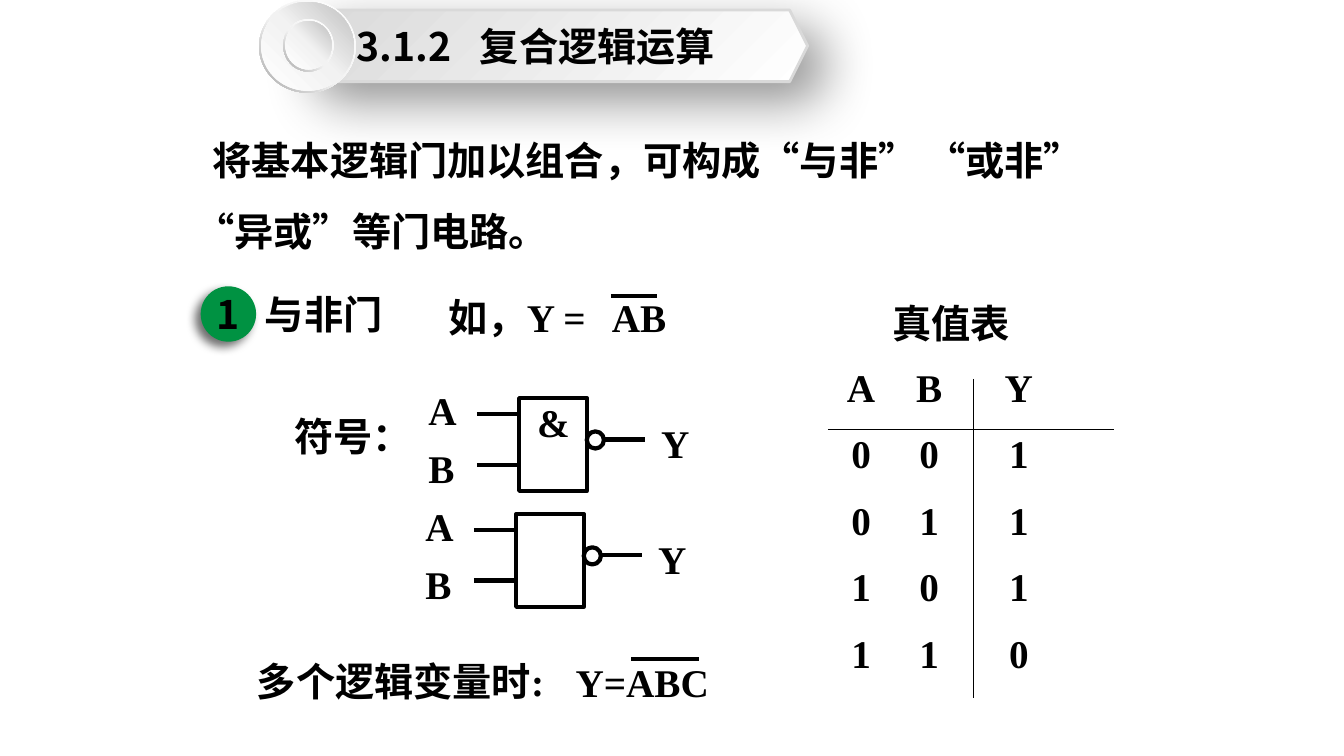
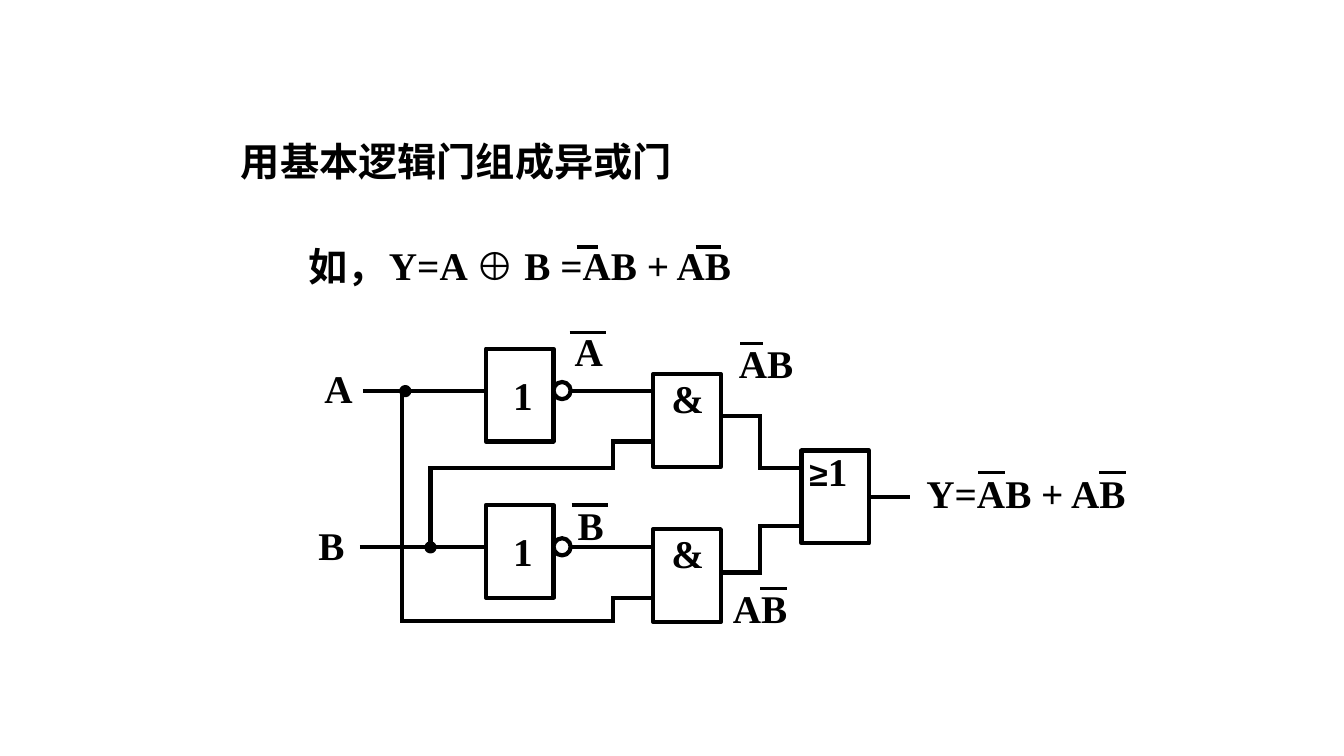
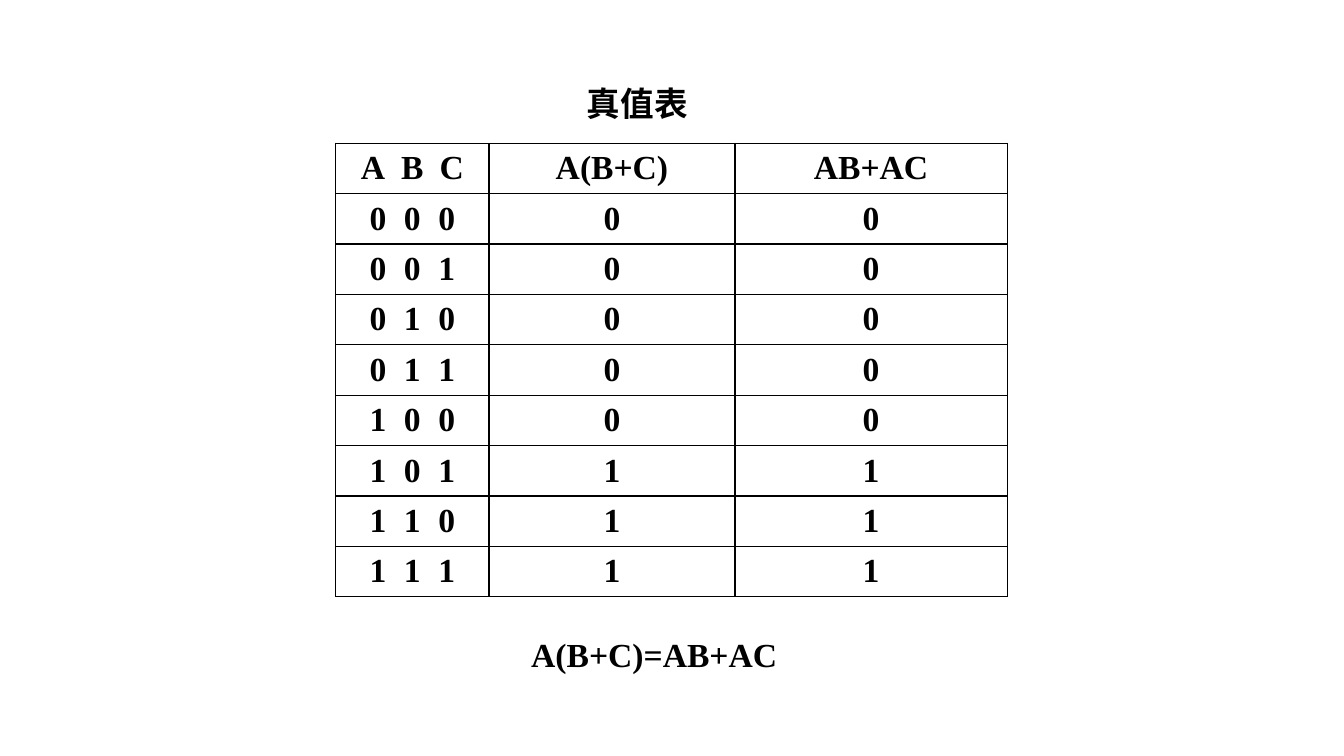
from dataclasses import dataclass
from itertools import pairwise, product

from lxml.etree import SubElement as Sub
from pptx import Presentation
from pptx.dml.color import RGBColor as RGB
from pptx.enum.shapes import MSO_CONNECTOR as Link, MSO_SHAPE as Kind
from pptx.enum.text import MSO_ANCHOR as Anchor, MSO_AUTO_SIZE as Fit, PP_ALIGN as Align
from pptx.oxml.ns import qn
from pptx.util import Inches, Pt


@dataclass(frozen=True)
class Theme:
    """Colours, fonts and sizes shared by the slides."""
    ink: str = "000000"
    paper: str = "FFFFFF"
    green: str = "009242"
    edge: str = "D9D9D9"
    ring: tuple = ((0, "FFFFFF"), (55, "F2F2F2"), (100, "A6A6A6"))
    disc: tuple = ((0, "FFFFFF"), (51, "F2F2F2"), (100, "BFBFBF"))
    band: tuple = ((0, "FFFFFF"), (100, "D9D9D9"))
    serif: str = "Times New Roman"
    hans: str = "Noto Sans CJK SC"
    big: int = 28
    mid: int = 24
    wire: float = 3
    bar: float = 2.25
    hair: float = 0.75
    wide: float = 0.67
    tall: float = 0.92
    dot: float = 0.17
    row: float = 0.57


T = Theme()


def style(run, size=T.big, face=T.serif):
    """Format one run in bold ink."""
    font = run.font
    font.size, font.bold, font.name = Pt(size), True, face
    font.color.rgb = RGB.from_string(T.ink)
    Sub(run._r.get_or_add_rPr(), qn("a:ea"), typeface=T.hans)


def tabs(para, stops, kind="l"):
    """Add tab stops to a paragraph."""
    stop_list = Sub(para._p.get_or_add_pPr(), qn("a:tabLst"))
    for stop in stops:
        Sub(stop_list, qn("a:tab"), pos=str(Inches(stop)), algn=kind)


def write(frame, text, size=T.big, face=T.serif, align=Align.LEFT, stops=()):
    """Write one formatted paragraph into a text frame."""
    frame.text = text
    para = frame.paragraphs[0]
    if stops:
        tabs(para, stops)
    para.alignment = align
    for run in para.runs:
        style(run, size, face)
    return para


def label(slide, text, x, y, w=T.wide, h=T.row, **look):
    """Place a text box."""
    box = slide.shapes.add_textbox(*map(Inches, (x, y, w, h)))
    box.text_frame.word_wrap = True
    return write(box.text_frame, text, **look)


def title(slide, text, x, y, w, h, anchor=Anchor.TOP, **look):
    """Move and format the title placeholder, above all shapes so far."""
    head = slide.shapes.title
    head.left, head.top, head.width, head.height = map(Inches, (x, y, w, h))
    frame = head.text_frame
    frame.auto_size, frame.word_wrap = Fit.NONE, True
    frame.vertical_anchor = anchor
    write(frame, text, **look)
    slide.shapes.element.append(head.element)


def shape(slide, kind, x, y, w, h, fill=T.paper, line=None, width=T.wire):
    """Draw a flat preset shape."""
    item = slide.shapes.add_shape(kind, *map(Inches, (x, y, w, h)))
    item.shadow.inherit = False
    item.fill.solid()
    item.fill.fore_color.rgb = RGB.from_string(fill)
    if line:
        item.line.color.rgb = RGB.from_string(line)
        item.line.width = Pt(width)
    else:
        item.line.fill.background()
    return item


def shade(item, stops, angle):
    """Give a shape a linear gradient."""
    item.fill.gradient()
    grad = item._element.spPr.find(qn("a:gradFill"))
    grad.clear()
    steps = Sub(grad, qn("a:gsLst"))
    for share, tone in stops:
        step = Sub(steps, qn("a:gs"), pos=str(share * 1000))
        Sub(step, qn("a:srgbClr"), val=tone)
    Sub(grad, qn("a:lin"), ang=str(angle * 60000), scaled="0")


def shadow(item, alpha, blur, dist, angle):
    """Give a shape an outer shadow."""
    effects = item._element.spPr.find(qn("a:effectLst"))
    outer = Sub(effects, qn("a:outerShdw"), blurRad=str(Pt(blur)), dist=str(Pt(dist)),
                dir=str(angle * 60000), algn="ctr", rotWithShape="0")
    tone = Sub(outer, qn("a:srgbClr"), val=T.ink)
    Sub(tone, qn("a:alpha"), val=str(alpha * 1000))


def wire(slide, *points, width=T.wire):
    """Join points with straight connectors."""
    for start, end in pairwise(points):
        link = slide.shapes.add_connector(Link.STRAIGHT, *map(Inches, start + end))
        link.line.color.rgb = RGB.from_string(T.ink)
        link.line.width = Pt(width)
        if len(points) > 2:
            link.line._get_or_add_ln().set("cap", "sq")
        Sub(link._element.spPr, qn("a:effectLst"))
    return link


def bars(slide, y, *spans, width=T.bar):
    """Draw negation bars at one height."""
    for left, right in spans:
        wire(slide, (left, y), (right, y), width=width)


def gate(slide, x, y, mark="", dx=0.08, dy=-0.05, bubble=False, size=T.big, face=T.serif):
    """Draw a gate body with its mark and negation bubble."""
    body = shape(slide, Kind.RECTANGLE, x, y, T.wide, T.tall, line=T.ink)
    if bubble:
        shape(slide, Kind.OVAL, x + T.wide, y + 0.33, T.dot, T.dot, line=T.ink)
    para = label(slide, mark, x + dx, y + dy, size=size, face=face) if mark else None
    return body, para


def symbol(slide, x, y, mark=""):
    """Draw a two-input gate symbol with its terminals."""
    for drop in (0.16, 0.66):
        wire(slide, (x - 0.42, y + drop), (x, y + drop))
    wire(slide, (x + 0.84, y + 0.41), (x + 1.25, y + 0.41))
    gate(slide, x, y, mark, bubble=True)
    for name, dx, dy in (("A", -1, -0.17), ("B", -1, 0.41), ("Y", 1.31, 0.16)):
        label(slide, name, x + dx, y + dy)


def grid(slide, rows, x, y, widths, high, size, pads, foot=0, edge=0):
    """Build a plain centred table, with ruled cells if edge is given."""
    spot = map(Inches, (x, y, sum(widths), high * len(rows)))
    table = slide.shapes.add_table(len(rows), len(widths), *spot).table
    table.first_row = table.horz_banding = False
    for col, width in zip(table.columns, widths):
        col.width = Inches(width)
    for r, row in enumerate(rows):
        table.rows[r].height = Inches(high)
        for c, value in enumerate(row):
            cell = table.cell(r, c)
            cell.margin_left = cell.margin_top = 0
            cell.margin_right, cell.margin_bottom = Inches(pads[c]), Inches(foot)
            cell.vertical_anchor = Anchor.MIDDLE
            write(cell.text_frame, str(value), size, align=Align.CENTER)
            if edge:
                rule(cell, edge)
            cell.fill.solid()
            cell.fill.fore_color.rgb = RGB.from_string(T.paper)
    return table


def rule(cell, width):
    """Draw the four borders of a cell."""
    for side in ("lnL", "lnR", "lnT", "lnB"):
        line = Sub(cell._tc.get_or_add_tcPr(), qn("a:" + side), w=str(Pt(width)))
        Sub(Sub(line, qn("a:solidFill")), qn("a:srgbClr"), val=T.ink)


def banner(slide):
    """Draw the title band with its round knob."""
    band = shape(slide, Kind.HEXAGON, 2.9, 0.1, 5.11, 0.71, line=T.edge, width=2)
    shade(band, T.band, 225)
    shadow(band, 42, 38, 19, 45)
    for x, y, w, h in ((2.57, 0, 0.96, 0.92), (2.81, 0.19, 0.5, 0.52)):
        ring = shape(slide, Kind.DONUT, x, y, w, h)
        ring.adjustments[0] = 0.05
        shade(ring, T.ring, 135)
        disc = shape(slide, Kind.OVAL, x + 0.02, y + 0.02, w - 0.04, h - 0.04)
        shade(disc, T.disc, 315)


def badge(slide, text, x, y, size):
    """Draw a numbered green disc."""
    disc = shape(slide, Kind.OVAL, x, y, size, size, T.green)
    shadow(disc, 57, 7, 5, 135)
    frame = disc.text_frame
    frame.margin_left = frame.margin_right = frame.margin_top = frame.margin_bottom = 0
    frame.vertical_anchor = Anchor.MIDDLE
    write(frame, text, face=T.hans, align=Align.CENTER)


def nand(slide):
    """Build the compound logic slide."""
    banner(slide)
    title(slide, "3.1.2\t复合逻辑运算", 3.44, 0.1, 4.4, 0.71, Anchor.MIDDLE,
          face=T.hans, stops=(1.22,))
    intro = label(slide, "将基本逻辑门加以组合，可构成“与非” “或非” “异或”等门电路。",
                  1.84, 1.07, 9.4, 1.4, face=T.hans)
    intro._p.get_or_add_pPr().set("indent", str(Inches(0.17)))
    intro.line_spacing = 1.5
    badge(slide, "1", 1.99, 2.84, 0.55)
    label(slide, "与非门", 2.53, 2.83, 1.53)
    label(slide, "如，Y =\tAB", 4.35, 2.86, 2.6, stops=(1.62,))
    bars(slide, 2.94, (6.06, 6.52), width=T.wire)
    label(slide, "符号：", 2.82, 4.04, 1.5)
    symbol(slide, 5.15, 3.95, "&")
    symbol(slide, 5.12, 5.1)
    label(slide, "多个逻辑变量时:", 2.45, 6.47, 3.3)
    label(slide, "Y=ABC", 5.61, 6.48, 1.72)
    bars(slide, 6.54, (6.26, 6.93), width=T.wire)
    label(slide, "真值表", 8.75, 2.92, 1.6)
    rows = [("A", "B", "Y")] + [(a, b, 1 - a * b) for a, b in product((0, 1), repeat=2)]
    grid(slide, rows, 8.21, 3.6, (0.66, 0.79, 1.39), 0.66, T.big, (0, 0.1, 0.5), 0.14)
    wire(slide, (8.21, 4.26), (11.05, 4.26), width=T.hair)
    wire(slide, (9.66, 3.76), (9.66, 6.92), width=T.hair)


def xor(slide):
    """Build the exclusive-or circuit slide."""
    title(slide, "用基本逻辑门组成异或门", 2.29, 1.31, 4.7, T.row)
    label(slide, "如，", 2.96, 2.35, 1)
    label(slide, "Y=A ⊕ B =AB + AB", 3.76, 2.34, 4.06)
    bars(slide, 2.45, (5.72, 5.93), (6.9, 7.15))
    top, low = 3.88, 5.43
    for name, row, x, left in (("A", top, 3.12, 3.6), ("B", low, 3.06, 3.57)):
        label(slide, name, x, row - 0.31)
        wire(slide, (left, row), (4.82, row))
        wire(slide, (5.65, row), (6.48, row))
        gate(slide, 4.82, row - 0.42, "1", 0.17, 0.17, True)
    for x, row, turn, end in ((4.27, low, 4.64, 4.38), (3.99, top, 6.16, 5.93)):
        wire(slide, (x, row), (x, turn), (6.08, turn), (6.08, end), (6.48, end))
    for row, end in ((4.13, 4.64), (5.68, 5.22)):
        wire(slide, (7.15, row), (7.54, row), (7.54, end), (7.95, end))
    for x, row in ((4.27, low), (4.02, top)):
        shape(slide, Kind.OVAL, x - 0.04, row - 0.04, 0.08, 0.08, T.ink, T.ink)
    for y in (3.71, 5.25):
        gate(slide, 6.48, y, "&")
    body, mark = gate(slide, 7.95, 4.47, "≥", -0.02, -0.08, size=T.mid, face="Arial")
    one = mark.add_run()
    one.text = "1"
    style(one)
    wire(slide, (8.62, 4.93), (9.03, 4.93)).begin_connect(body, 3)
    for text, x, y, w, rise, spans in (
        ("A", 5.6, 3.2, 0.59, 0.1, [(5.65, 6.01)]),
        ("B", 5.63, 4.92, 0.62, 0.09, [(5.67, 6.03)]),
        ("AB", 7.23, 3.32, 1.07, 0.09, [(7.34, 7.57)]),
        ("AB", 7.17, 5.75, 0.8, 0.09, [(7.54, 7.81)]),
        ("Y=AB + AB", 9.09, 4.61, 2.4, 0.08, [(9.7, 9.97), (10.9, 11.17)]),
    ):
        label(slide, text, x, y, w)
        bars(slide, y + rise, *spans)


def proof(slide):
    """Build the distributive law truth table slide."""
    title(slide, "真值表", 5.72, 0.77, 1.4, 0.5, size=T.mid, face="Calibri")
    rows = [("\tA\tB\tC", "A(B+C)", "AB+AC")]
    for a, b, c in product((0, 1), repeat=3):
        rows.append((f"\t{a}\t{b}\t{c}", a & (b | c), a & b | a & c))
    table = grid(slide, rows, 3.33, 1.42, (1.52, 2.44, 2.7), 0.5, T.mid, (0, 0, 0), edge=1)
    for r in range(len(rows)):
        para = table.cell(r, 0).text_frame.paragraphs[0]
        step = 0.34 if r else 0.39
        tabs(para, (0.76 - step, 0.76, 0.76 + step), "ctr")
        para.alignment = Align.LEFT
    label(slide, "A(B+C)=AB+AC", 5.17, 6.24, 2.8, 0.5, size=T.mid)


def main():
    """Build and save the deck."""
    deck = Presentation()
    deck.slide_width, deck.slide_height = Inches(13.33), Inches(7.5)
    for build in (nand, xor, proof):
        build(deck.slides.add_slide(deck.slide_layouts[5]))
    deck.save("out.pptx")


if __name__ == "__main__":
    main()
